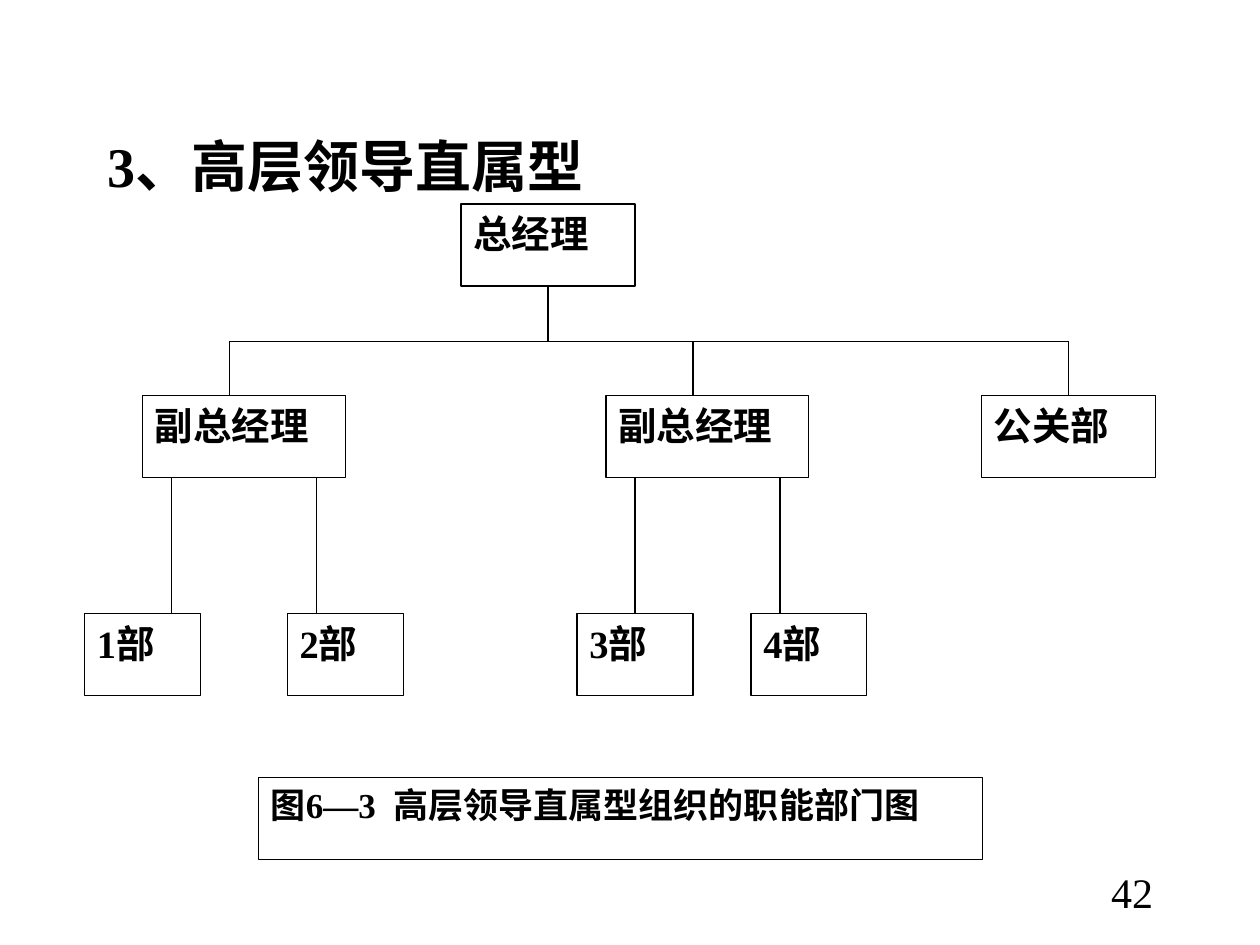
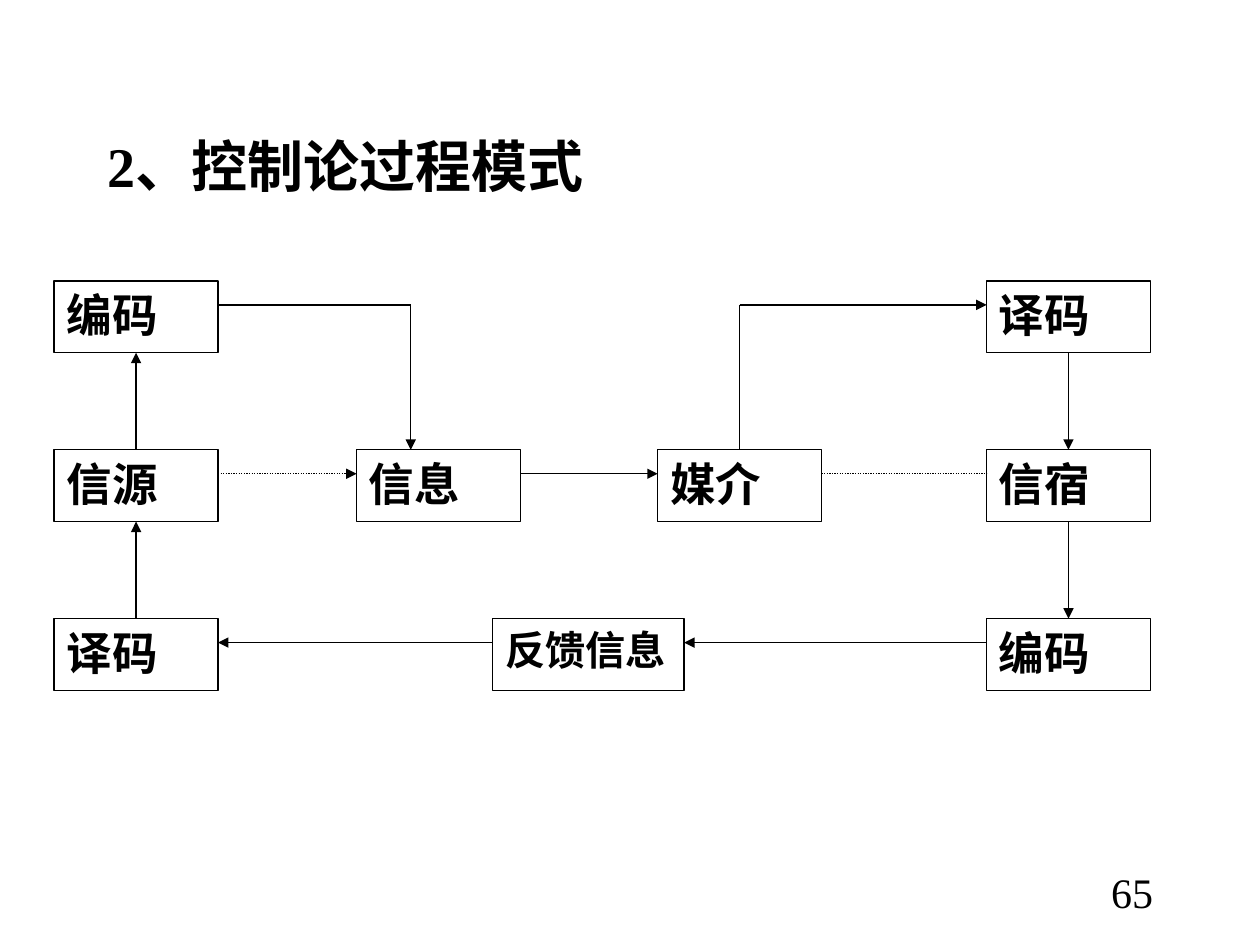
from pptx import Presentation
from pptx.dml.color import RGBColor
from pptx.enum.dml import MSO_LINE
from pptx.enum.shapes import MSO_CONNECTOR, MSO_SHAPE
from pptx.enum.text import MSO_ANCHOR, MSO_AUTO_SIZE, PP_ALIGN
from pptx.oxml.ns import qn
from pptx.util import Inches, Pt
from lxml import etree

RECTANGLE = MSO_SHAPE.RECTANGLE
STRAIGHT = MSO_CONNECTOR.STRAIGHT
DOTTED = MSO_LINE.ROUND_DOT
TOP = MSO_ANCHOR.TOP
NO_FIT = MSO_AUTO_SIZE.NONE
LEFT, RIGHT, JUSTIFY = PP_ALIGN.LEFT, PP_ALIGN.RIGHT, PP_ALIGN.JUSTIFY

COLORS = {"ink": "000000", "paper": "FFFFFF"}
FONT = "Times New Roman"
LINE_WIDTH = 0.75
TITLE_ONLY = 5
TITLE_AREA = (0.75, 0.99, 8.5, 0.75)
NUMBER_AREA = (7.17, 6.83, 2.08, 0.5)

ORG_TITLE, ORG_NUMBER = "3、高层领导直属型", "42"
ORG_CAPTION = ("图6—3  高层领导直属型组织的职能部门图", 2.05, 6.17, 5.75)
ORG_UNIT = 0.23
ORG_HEIGHT = 0.65
MANAGER = ("总经理", 3.66, 1.62, 6 * ORG_UNIT)
REPORTS = [("副总经理", 1.13, 7 * ORG_UNIT), ("副总经理", 4.81, 7 * ORG_UNIT),
           ("公关部", 7.79, 6 * ORG_UNIT)]
DEPARTMENTS = [("1部", 0.67), ("2部", 2.28), ("3部", 4.58), ("4部", 5.96)]
REPORT_TOP, BUS_Y, DEPARTMENT_TOP = 3.14, 2.71, 4.87

LOOP_TITLE, LOOP_NUMBER = "2、控制论过程模式", "65"
LOOP_COLUMNS = [0.43, 2.83, 5.22, 7.83]
LOOP_TOP, LOOP_STEP = 2.23, 1.34
LOOP_WIDTH, LOOP_HEIGHT, LOOP_LINE_DROP = 1.3, 0.57, 0.19
STAGES = [("编码", 0, 0), ("译码", 3, 0),
          ("信源", 0, 1), ("信息", 1, 1), ("媒介", 2, 1), ("信宿", 3, 1),
          ("译码", 0, 2), ("编码", 3, 2)]
FEEDBACK = ("反馈信息", 3.91, 1.52)
VERTICAL_STEPS = [(0, 2, 1), (0, 1, 0), (3, 0, 1), (3, 1, 2)]


def rgb(name):
    return RGBColor.from_string(COLORS[name])


def write(shape, text, size, bold=True, align=JUSTIFY):
    frame = shape.text_frame
    frame.word_wrap = True
    frame.auto_size = NO_FIT
    frame.vertical_anchor = TOP
    paragraph = frame.paragraphs[0]
    paragraph.alignment = align
    run = paragraph.add_run()
    run.text = text
    run.font.name = FONT
    run.font.size = Pt(size)
    run.font.bold = bold
    run.font.color.rgb = rgb("ink")


def start_slide(deck, title, number):
    slide = deck.slides.add_slide(deck.slide_layouts[TITLE_ONLY])
    heading = slide.shapes.title
    heading.left, heading.top, heading.width, heading.height = map(Inches, TITLE_AREA)
    write(heading, title, 32, align=LEFT)
    page = slide.shapes.add_textbox(*map(Inches, NUMBER_AREA))
    write(page, number, 24, bold=False, align=RIGHT)
    return slide


def add_box(slide, text, left, top, width, height, size):
    box = slide.shapes.add_shape(RECTANGLE, *map(Inches, (left, top, width, height)))
    box.shadow.inherit = False
    box.fill.solid()
    box.fill.fore_color.rgb = rgb("paper")
    box.line.color.rgb = rgb("ink")
    box.line.width = Pt(LINE_WIDTH)
    write(box, text, size)
    return box


def side_at(boxes, point):
    x, y = map(Inches, point)
    for box in boxes:
        middle_x, middle_y = box.left + box.width // 2, box.top + box.height // 2
        sides = [(middle_x, box.top), (box.left, middle_y),
                 (middle_x, box.top + box.height), (box.left + box.width, middle_y)]
        for site, (side_x, side_y) in enumerate(sides):
            if max(abs(side_x - x), abs(side_y - y)) < Inches(0.02):
                return box, site
    return None


def add_line(slide, boxes, start, end, arrow=False, dash=None):
    line = slide.shapes.add_connector(STRAIGHT, *map(Inches, (*start, *end)))
    line.line.color.rgb = rgb("ink")
    line.line.width = Pt(LINE_WIDTH)
    if dash:
        line.line.dash_style = dash
    properties = line.element.spPr
    if arrow:
        etree.SubElement(properties.find(qn("a:ln")), qn("a:tailEnd"), type="triangle")
    etree.SubElement(properties, qn("a:effectLst"))
    for point, connect in ((start, line.begin_connect), (end, line.end_connect)):
        joint = side_at(boxes, point)
        if joint:
            connect(*joint)


def build_organisation(deck):
    slide = start_slide(deck, ORG_TITLE, ORG_NUMBER)
    name, manager_left, manager_top, width = MANAGER
    boxes = [add_box(slide, name, manager_left, manager_top, width, ORG_HEIGHT, 22)]
    boxes += [add_box(slide, name, left, REPORT_TOP, width, ORG_HEIGHT, 22)
              for name, left, width in REPORTS]
    boxes += [add_box(slide, name, left, DEPARTMENT_TOP, 4 * ORG_UNIT, ORG_HEIGHT, 22)
              for name, left in DEPARTMENTS]
    add_box(slide, *ORG_CAPTION, ORG_HEIGHT, 20)

    drops = [left + 3 * ORG_UNIT for _, left, _ in REPORTS]
    trunk = manager_left + 3 * ORG_UNIT
    add_line(slide, boxes, (trunk, manager_top + ORG_HEIGHT), (trunk, BUS_Y))
    add_line(slide, boxes, (drops[0], BUS_Y), (drops[-1], BUS_Y))
    for x in drops:
        add_line(slide, boxes, (x, BUS_Y), (x, REPORT_TOP))
    for _, left, _ in REPORTS[:2]:
        for x in (left + ORG_UNIT, left + 6 * ORG_UNIT):
            add_line(slide, boxes, (x, REPORT_TOP + ORG_HEIGHT), (x, DEPARTMENT_TOP))


def build_loop(deck):
    slide = start_slide(deck, LOOP_TITLE, LOOP_NUMBER)
    tops = [LOOP_TOP + LOOP_STEP * row for row in range(3)]
    levels = [top + LOOP_LINE_DROP for top in tops]
    rights = [left + LOOP_WIDTH for left in LOOP_COLUMNS]
    middles = [left + LOOP_WIDTH / 2 for left in LOOP_COLUMNS]
    boxes = [add_box(slide, name, LOOP_COLUMNS[column], tops[row],
                     LOOP_WIDTH, LOOP_HEIGHT, 26)
             for name, column, row in STAGES]
    name, feedback_left, feedback_width = FEEDBACK
    boxes.append(add_box(slide, name, feedback_left, tops[2],
                         feedback_width, LOOP_HEIGHT, 23))

    for column, origin, target in VERTICAL_STEPS:
        x = middles[column]
        leaving, arriving = (LOOP_HEIGHT, 0) if target > origin else (0, LOOP_HEIGHT)
        add_line(slide, boxes, (x, tops[origin] + leaving),
                 (x, tops[target] + arriving), arrow=True)

    encode_y, message_y, feedback_y = levels
    message_x = LOOP_COLUMNS[1] + 0.43
    medium_x = middles[2]
    links = [
        ((rights[0], encode_y), (message_x, encode_y), False, None),
        ((message_x, encode_y), (message_x, tops[1]), True, None),
        ((medium_x, tops[1]), (medium_x, encode_y), False, None),
        ((medium_x, encode_y), (LOOP_COLUMNS[3], encode_y), True, None),
        ((rights[0], message_y), (LOOP_COLUMNS[1], message_y), True, DOTTED),
        ((rights[1], message_y), (LOOP_COLUMNS[2], message_y), True, None),
        ((rights[2], message_y), (LOOP_COLUMNS[3], message_y), False, DOTTED),
        ((LOOP_COLUMNS[3], feedback_y), (feedback_left + feedback_width, feedback_y), True, None),
        ((feedback_left, feedback_y), (rights[0], feedback_y), True, None),
    ]
    for start, end, arrow, dash in links:
        add_line(slide, boxes, start, end, arrow=arrow, dash=dash)


def main():
    deck = Presentation()
    deck.slide_width, deck.slide_height = Inches(10), Inches(7.5)
    build_organisation(deck)
    build_loop(deck)
    deck.save("out.pptx")


if __name__ == "__main__":
    main()
